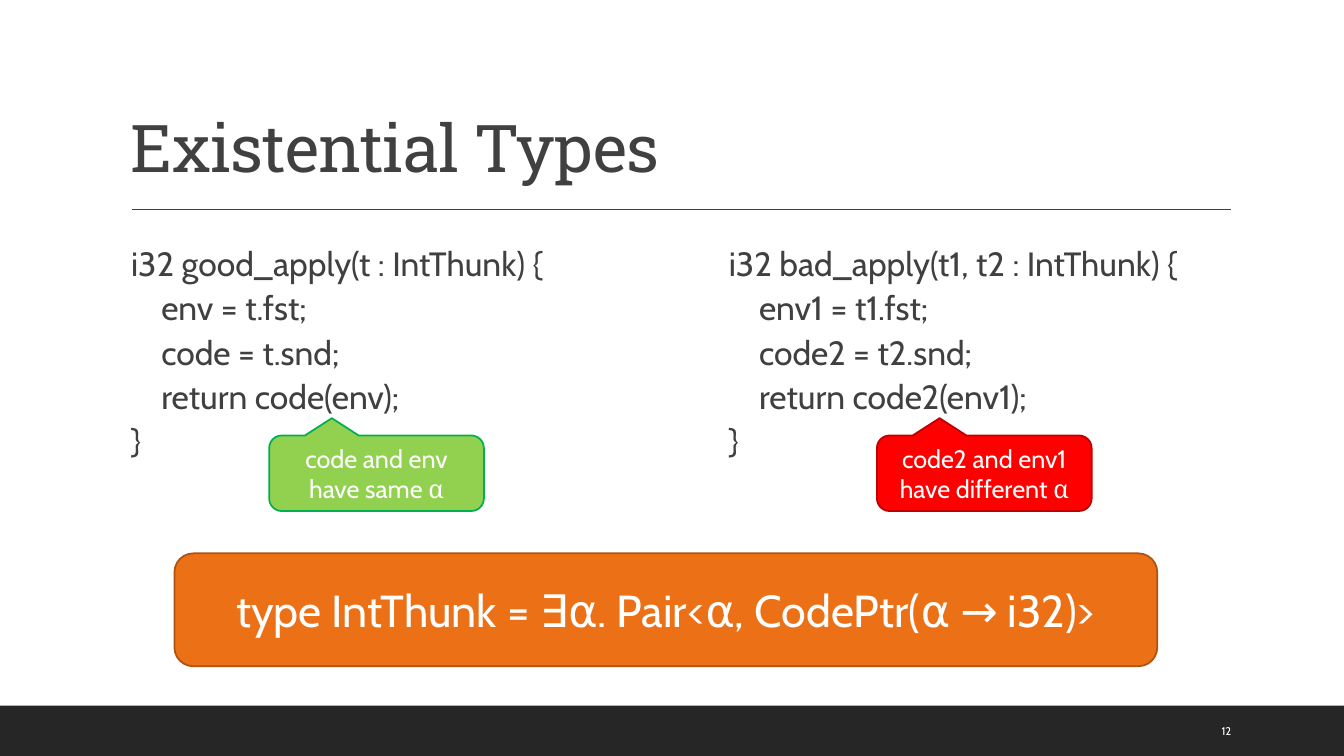
from dataclasses import dataclass

from pptx import Presentation
from pptx.dml.color import RGBColor
from pptx.enum.shapes import MSO_CONNECTOR, MSO_SHAPE
from pptx.enum.text import MSO_ANCHOR, PP_ALIGN
from pptx.oxml.ns import qn
from pptx.util import Inches, Pt
from lxml import etree

RECTANGLE = MSO_SHAPE.RECTANGLE
ROUNDED = MSO_SHAPE.ROUNDED_RECTANGLE
CALLOUT = MSO_SHAPE.ROUNDED_RECTANGULAR_CALLOUT
STRAIGHT = MSO_CONNECTOR.STRAIGHT
TOP, MIDDLE, BOTTOM = MSO_ANCHOR.TOP, MSO_ANCHOR.MIDDLE, MSO_ANCHOR.BOTTOM
LEFT, CENTER = PP_ALIGN.LEFT, PP_ALIGN.CENTER

WIDTH, HEIGHT = Inches(13.333), Inches(7.5)
BODY_FONT, TITLE_FONT, GREEK_FONT = "Cabin", "Roboto Slab", "Cambria"
DARK, WHITE, ORANGE = "404040", "FFFFFF", "EC7016"
HANG, CODE_INDENT = 0.1, 0.3  # inches


@dataclass(frozen=True)
class Area:
    """A rectangle in percent of the slide's width and height."""
    left: float
    top: float
    width: float
    height: float

    def lengths(self) -> tuple[int, int, int, int]:
        return (across(self.left), down(self.top),
                across(self.width), down(self.height))


@dataclass(frozen=True)
class Example:
    left: float
    code: tuple[str, ...]
    note: str
    note_left: float
    fill: str
    outline: str


EXAMPLES = (
    Example(9, ("i32 good_apply(t : IntThunk) {", "env = t.fst;",
                "code = t.snd;", "return code(env);", "}"),
            "code and env have same ", 20.03, "92D050", "00B050"),
    Example(53.48, ("i32 bad_apply(t1, t2 : IntThunk) {", "env1 = t1.fst;",
                    "code2 = t2.snd;", "return code2(env1);", "}"),
            "code2 and env1 have different ", 65.25, "FF0000", "C00000"),
)


def across(percent: float) -> int:
    return round(WIDTH * percent / 100)


def down(percent: float) -> int:
    return round(HEIGHT * percent / 100)


def color(value: str) -> RGBColor:
    return RGBColor.from_string(value)


def add_text(para, text: str, *, size: float, font: str = BODY_FONT,
             ink: str = WHITE, align=LEFT, spacing: int = 0) -> None:
    """Append formatted text; spacing is in hundredths of a point."""
    para.alignment = align
    span = para.add_run()
    span.text = text
    span.font.size = Pt(size)
    span.font.name = font
    span.font.color.rgb = color(ink)
    if spacing:
        span._r.get_or_add_rPr().set("spc", str(spacing))


def add_box(page, area: Area, anchor=TOP, side_inset: float = 0.1):
    frame = page.shapes.add_textbox(*area.lengths()).text_frame
    frame.word_wrap = True
    frame.vertical_anchor = anchor
    frame.margin_left = frame.margin_right = Inches(side_inset)
    return frame


def add_panel(page, kind, area: Area, fill: str, outline: str = ""):
    panel = page.shapes.add_shape(kind, *area.lengths())
    panel.shadow.inherit = False
    panel.fill.solid()
    panel.fill.fore_color.rgb = color(fill)
    if outline:
        panel.line.color.rgb = color(outline)
        panel.line.width = Pt(1.25)
    else:
        panel.line.fill.background()
    panel.text_frame.word_wrap = True
    panel.text_frame.vertical_anchor = MIDDLE
    return panel


def add_rule(page, left: float, right: float, top: float) -> None:
    rule = page.shapes.add_connector(
        STRAIGHT, across(left), down(top), across(right), down(top))
    rule.line.color.rgb = color(DARK)
    rule.line.width = Pt(1)
    etree.SubElement(rule._element.spPr, qn("a:effectLst"))


def add_code(page, example: Example) -> None:
    frame = add_box(page, Area(example.left, 30.93, 38.03, 54.67), side_inset=0)
    last = len(example.code) - 1
    for number, line in enumerate(example.code):
        para = frame.add_paragraph() if number else frame.paragraphs[0]
        para.line_spacing = 1.1
        para.space_before = Pt(0 if number else 12)
        para.space_after = Pt(0)
        inner = 0 < number < last
        indent = HANG + (CODE_INDENT if inner else 0)
        para._p.get_or_add_pPr().set("marL", str(Inches(indent)))
        add_text(para, line, size=24, ink=DARK)


def add_note(page, example: Example) -> None:
    area = Area(example.note_left, 57.6, 15.98, 10)
    note = add_panel(page, CALLOUT, area, example.fill, example.outline)
    for index, value in enumerate((-0.208, -0.729, 0.167)):
        note.adjustments[index] = value
    para = note.text_frame.paragraphs[0]
    add_text(para, example.note, size=18, align=CENTER)
    add_text(para, "α", size=18, font=GREEK_FONT, align=CENTER)


def main() -> None:
    deck = Presentation()
    deck.slide_width, deck.slide_height = WIDTH, HEIGHT
    page = deck.slides.add_slide(deck.slide_layouts[6])

    add_panel(page, RECTANGLE, Area(0, 93.33, 100, 6.67), "262626")
    add_rule(page, 9.83, 91.58, 27.73)

    title = add_box(page, Area(9, 4.13, 82.5, 21.2), BOTTOM).paragraphs[0]
    title.line_spacing = 0.9
    add_text(title, "Existential Types", size=47, font=TITLE_FONT,
             ink=DARK, spacing=-50)

    for example in EXAMPLES:
        add_code(page, example)
        add_note(page, example)

    definition = add_panel(page, ROUNDED, Area(12.98, 73.2, 73.13, 14.93),
                           ORANGE, "AF5310")
    add_text(definition.text_frame.paragraphs[0],
             "type IntThunk = ∃α. Pair<α, CodePtr(α → i32)>",
             size=32, align=CENTER)

    number = add_box(page, Area(90.15, 94, 6.38, 5.33), MIDDLE)
    add_text(number.paragraphs[0], "12", size=8)

    deck.save("out.pptx")


if __name__ == "__main__":
    main()
